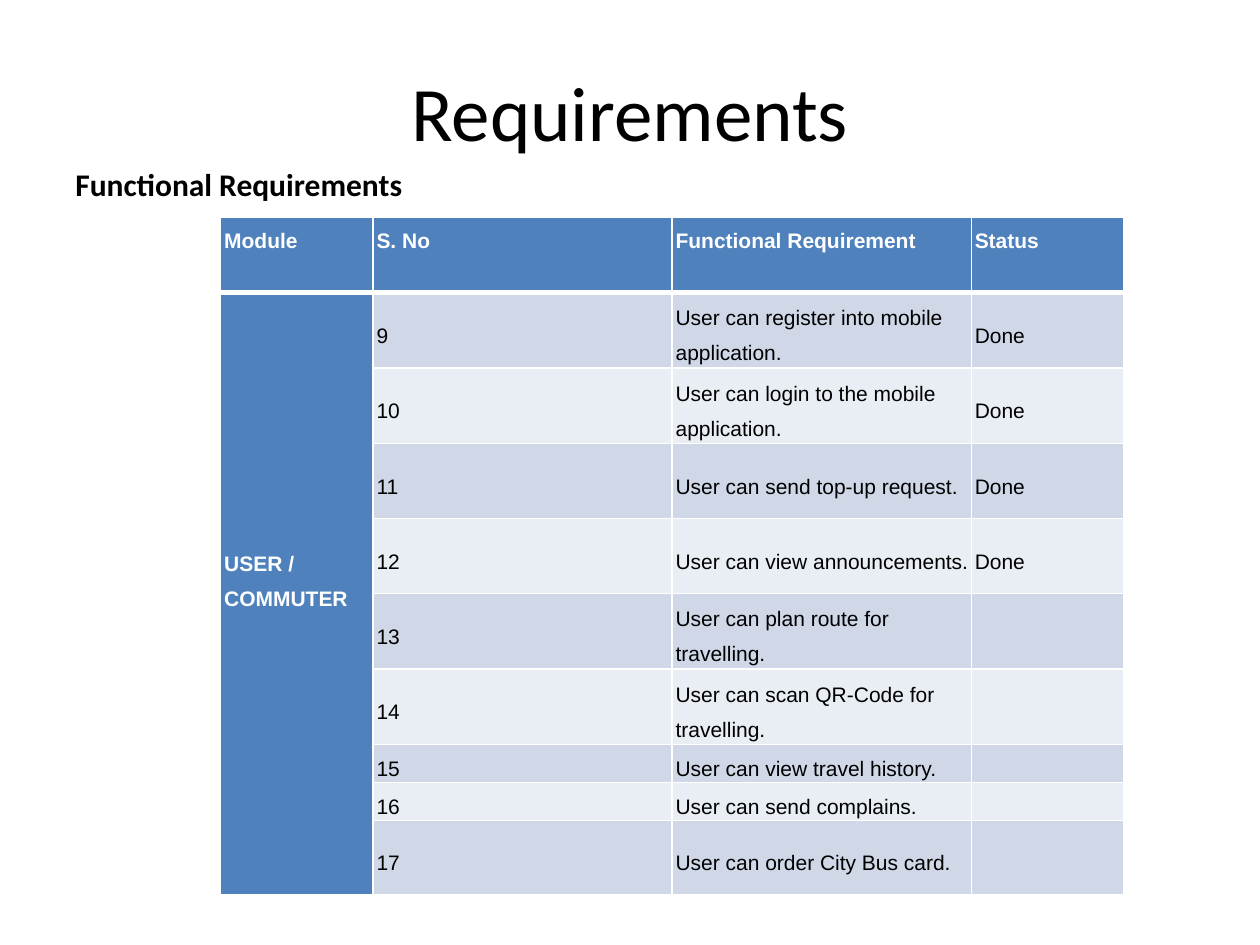
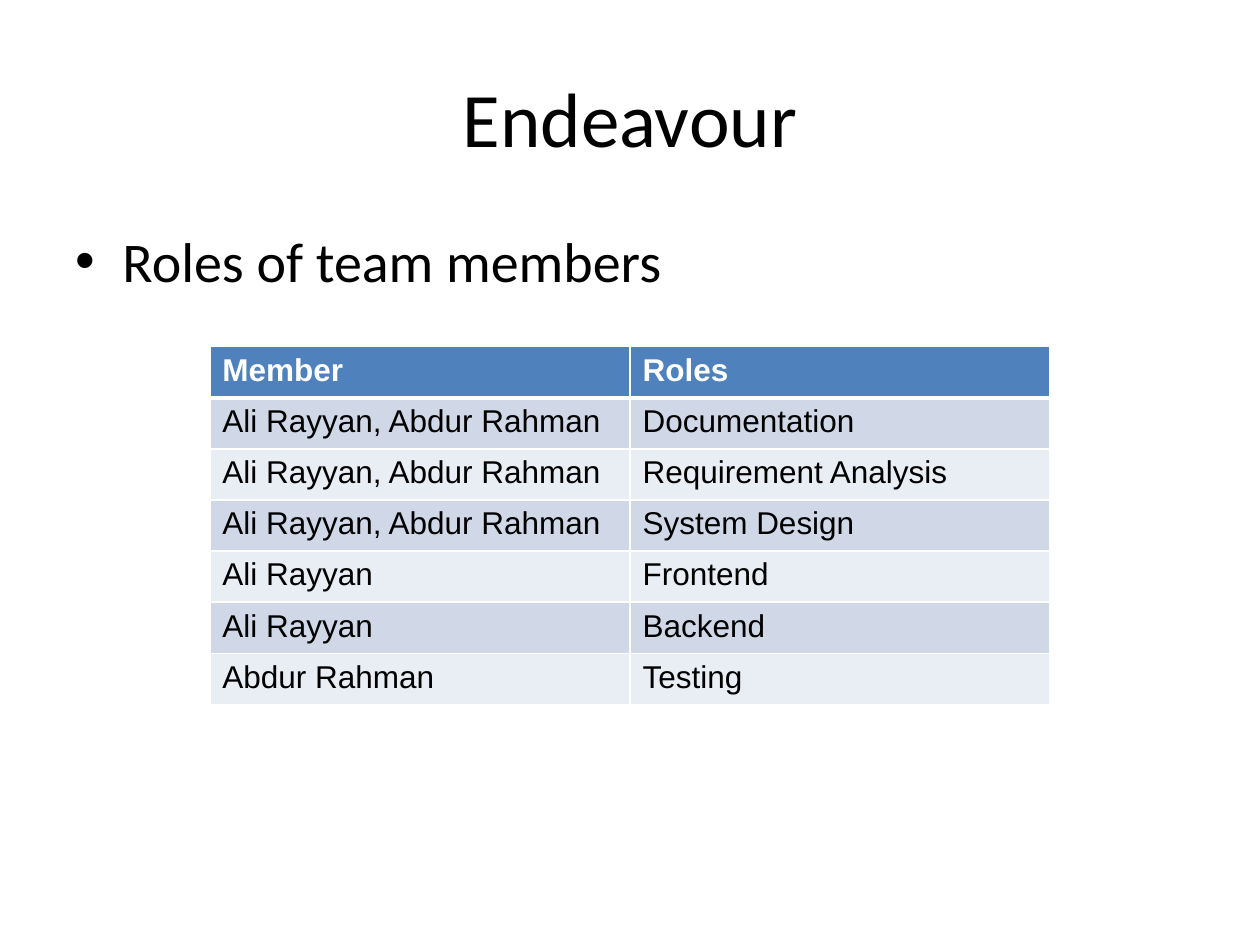
"""Build the requirements and team roles slides."""
import pptx
import pptx.dml.color
import pptx.enum.text
import pptx.oxml
import pptx.oxml.ns
import pptx.util
from lxml import etree

Cm = pptx.util.Cm
Pt = pptx.util.Pt
RGBColor = pptx.dml.color.RGBColor
ANCHOR = pptx.enum.text.MSO_ANCHOR
ALIGN = pptx.enum.text.PP_ALIGN

BLACK = RGBColor(0x00, 0x00, 0x00)
WHITE = RGBColor(0xFF, 0xFF, 0xFF)
HEADER_BLUE = RGBColor(0x4F, 0x81, 0xBD)
BANDS = [RGBColor(0xD0, 0xD8, 0xE8), RGBColor(0xE9, 0xED, 0xF4)]

TITLE_FONT = {"name": "Calibri", "size": Pt(44)}
SUBTITLE_FONT = {"name": "Calibri", "size": Pt(18), "bold": True}
BULLET_FONT = {"name": "Calibri", "size": Pt(32)}
TIGHT_MARGINS = {"margin_left": Cm(0.07), "margin_right": 0, "margin_top": 0, "margin_bottom": 0}
HEADER_RULE = (
    f'<a:lnB {pptx.oxml.ns.nsdecls("a")} w="{Pt(3)}">'
    f'<a:solidFill><a:srgbClr val="{WHITE}"/></a:solidFill></a:lnB>'
)

REQUIREMENTS = [
    ("Module", "S. No", "Functional Requirement", "Status"),
    ("USER / COMMUTER", "9", "User can register into mobile application.", "Done"),
    ("", "10", "User can login to the mobile application.", "Done"),
    ("", "11", "User can send top-up request.", "Done"),
    ("", "12", "User can view announcements.", "Done"),
    ("", "13", "User can plan route for travelling.", ""),
    ("", "14", "User can scan QR-Code for travelling.", ""),
    ("", "15", "User can view travel history.", ""),
    ("", "16", "User can send complains.", ""),
    ("", "17", "User can order City Bus card.", ""),
]
ROLES = [
    ("Member", "Roles"),
    ("Ali Rayyan, Abdur Rahman", "Documentation"),
    ("Ali Rayyan, Abdur Rahman", "Requirement Analysis"),
    ("Ali Rayyan, Abdur Rahman", "System Design"),
    ("Ali Rayyan", "Frontend"),
    ("Ali Rayyan", "Backend"),
    ("Abdur Rahman", "Testing"),
]


def add_text(slide, text, box, font, frame_format, paragraph_format):
    shape = slide.shapes.add_textbox(*[Cm(length) for length in box])
    paragraph = shape.text_frame.paragraphs[0]
    run = paragraph.add_run()
    run.text = text
    run.font.color.rgb = BLACK
    for target, values in (
        (shape.text_frame, frame_format),
        (paragraph, paragraph_format),
        (run.font, font),
    ):
        for name, value in values.items():
            setattr(target, name, value)
    return paragraph


def add_table(slide, rows, left, top, widths, heights, size, margins, spacing, header_columns):
    frame = slide.shapes.add_table(
        len(rows), len(widths), Cm(left), Cm(top), Cm(sum(widths)), Cm(sum(heights))
    )
    table = frame.table
    for column, width in zip(table.columns, widths):
        column.width = Cm(width)
    for row, height in zip(table.rows, heights):
        row.height = Cm(height)
    for row_index, row in enumerate(rows):
        for column_index, text in enumerate(row):
            cell = table.cell(row_index, column_index)
            is_header = row_index == 0 or column_index < header_columns
            cell.fill.solid()
            cell.fill.fore_color.rgb = HEADER_BLUE if is_header else BANDS[(row_index - 1) % 2]
            if row_index == 0:
                cell._tc.get_or_add_tcPr().insert(0, pptx.oxml.parse_xml(HEADER_RULE))
            for name, value in margins.items():
                setattr(cell, name, value)
            if not text:
                continue
            cell.vertical_anchor = ANCHOR.MIDDLE if margins and row_index else ANCHOR.TOP
            paragraph = cell.text_frame.paragraphs[0]
            paragraph.line_spacing = spacing
            run = paragraph.add_run()
            run.text = text
            run.font.color.rgb = WHITE if is_header else BLACK
            for name, value in {"name": "Arial", "size": Pt(size), "bold": is_header}.items():
                setattr(run.font, name, value)
    return table


presentation = pptx.Presentation()
presentation.slide_width = Cm(25.4)
presentation.slide_height = Cm(19.05)

slides = []
for title, title_top in (("Requirements", 0.65), ("Endeavour", 0.76)):
    slide = presentation.slides.add_slide(presentation.slide_layouts[6])
    add_text(
        slide, title, (1.27, title_top, 22.86, 3.18), TITLE_FONT,
        {"word_wrap": True, "vertical_anchor": ANCHOR.MIDDLE}, {"alignment": ALIGN.CENTER},
    )
    slides.append(slide)
requirements_slide, endeavour_slide = slides

row_heights = [0.75 if row[1] in ("15", "16") else 1.51 for row in REQUIREMENTS]
requirements_table = add_table(
    requirements_slide, REQUIREMENTS, 4.45, 4.38, [3.07, 6.03, 6.03, 3.07],
    row_heights, 12, TIGHT_MARGINS, 1.5, 1,
)
module_cell = requirements_table.cell(1, 0)
module_cell.merge(requirements_table.cell(len(REQUIREMENTS) - 1, 0))
module_cell.margin_bottom = Cm(0.72)
add_text(
    requirements_slide, "Functional Requirements", (1.27, 3.2, 7.16, 1.02), SUBTITLE_FONT,
    {"word_wrap": False}, {},
)

bullet_paragraph = add_text(
    endeavour_slide, "Roles of team members", (1.27, 4.45, 22.86, 12.57), BULLET_FONT,
    {"word_wrap": True}, {"space_before": Pt(6.4)},
)
properties = bullet_paragraph._p.get_or_add_pPr()
properties.set("marL", str(Cm(0.95)))
properties.set("indent", str(-Cm(0.95)))
namespace = properties.nsmap["a"]
etree.SubElement(properties, f"{{{namespace}}}buFont", typeface="Arial")
etree.SubElement(properties, f"{{{namespace}}}buChar", char="•")
add_table(
    endeavour_slide, ROLES, 4.23, 6.99, [8.47] * 2, [1.03] * len(ROLES), 18, {}, 1.0, 0
)

presentation.save("out.pptx")
